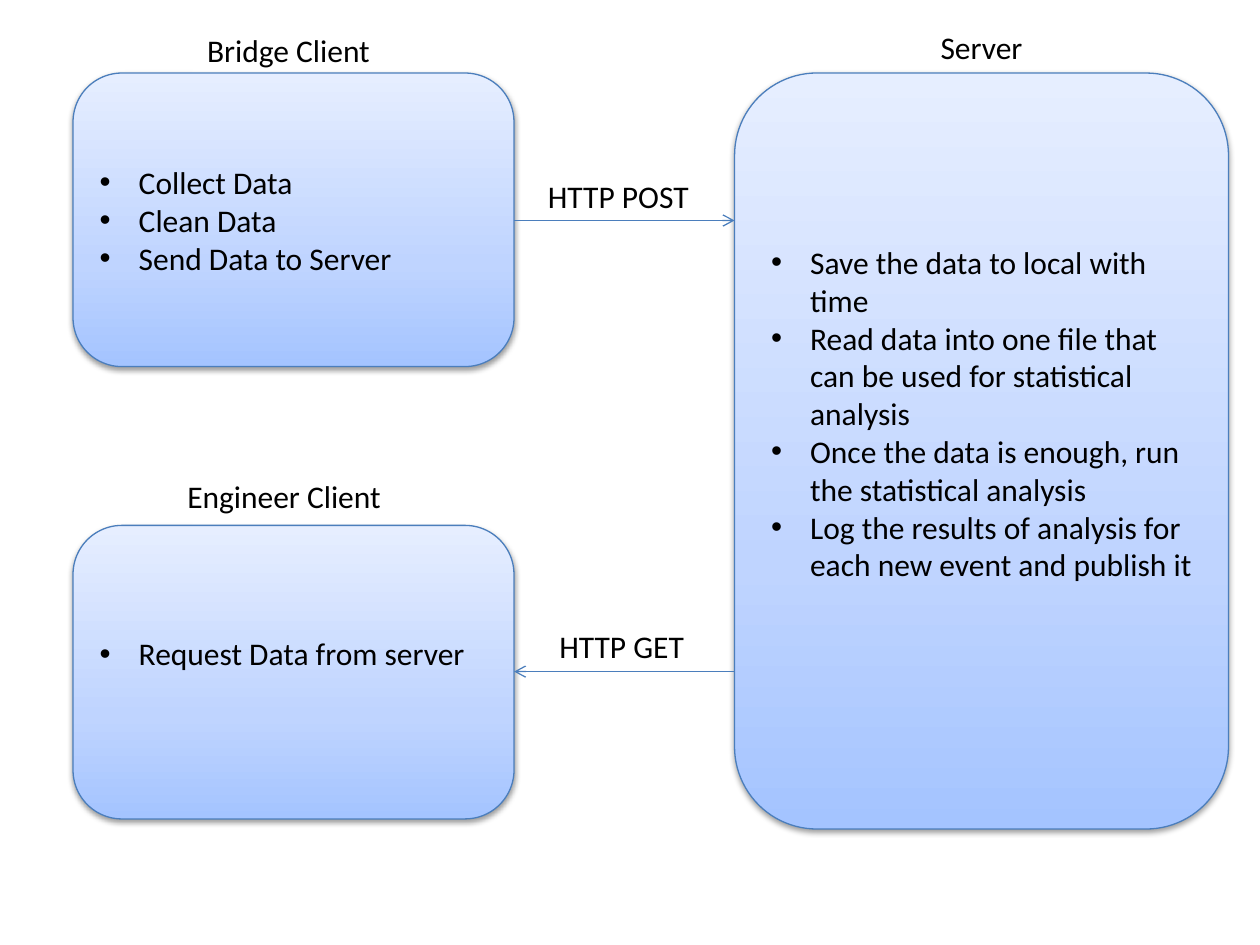
from lxml.etree import SubElement
from pptx import Presentation
from pptx.dml.color import RGBColor
from pptx.enum.shapes import MSO_CONNECTOR as CONN, MSO_SHAPE as SHAPE
from pptx.enum.text import MSO_ANCHOR as ANCHOR, MSO_AUTO_SIZE as AUTO, PP_ALIGN as ALIGN
from pptx.oxml.ns import qn
from pptx.util import Inches, Pt

FONT = "Calibri"
TEXT_COLOR = "000000"
LINE_COLOR = "4B7EBC"
BOX_STOPS = [(0, "A4C4FF"), (35, "BFD4FF"), (100, "E6EEFF")]
LINE_HEIGHT = 0.3
CLIENT_LEFT, CLIENT_W, CLIENT_H = 0.58, 3.5, 2.33
SERVER_LEFT = 5.83


def rgb(value):
    return RGBColor.from_string(value)


def add_xml(parent, tag, **attrs):
    return SubElement(parent, qn(tag), {k: str(v) for k, v in attrs.items()})


def format_paragraph(p, align=ALIGN.LEFT):
    p.alignment = align
    for r in p.runs:
        r.font.name = FONT
        r.font.size = Pt(18)
        r.font.color.rgb = rgb(TEXT_COLOR)


def set_bullet(p):
    pPr = p._p.get_or_add_pPr()
    pPr.set("marL", str(Inches(0.31)))
    pPr.set("indent", str(-Inches(0.31)))
    add_xml(pPr, "a:buFont", typeface="Arial")
    add_xml(pPr, "a:buChar", char="•")


def set_gradient(sp):
    sp.fill.gradient()
    sp.fill.gradient_angle = 90
    stops = sp._element.spPr.find(qn("a:gradFill")).find(qn("a:gsLst"))
    for stop in list(stops):
        stops.remove(stop)
    for position, color in BOX_STOPS:
        stop = add_xml(stops, "a:gs", pos=position * 1000)
        add_xml(stop, "a:srgbClr", val=color)


def set_shadow(sp):
    sp.shadow.inherit = False
    effects = sp._element.spPr.find(qn("a:effectLst"))
    shadow = add_xml(effects, "a:outerShdw", blurRad=Pt(3.1), dist=Pt(1.6),
                     dir=90 * 60000, rotWithShape=0)
    color = add_xml(shadow, "a:srgbClr", val=TEXT_COLOR)
    add_xml(color, "a:alpha", val=38000)


def set_line(line):
    line.color.rgb = rgb(LINE_COLOR)
    line.width = Pt(0.75)


def add_box(slide, left, top, width, height, items, lines_below):
    sp = slide.shapes.add_shape(SHAPE.ROUNDED_RECTANGLE, Inches(left), Inches(top),
                                Inches(width), Inches(height))
    set_gradient(sp)
    set_line(sp.line)
    set_shadow(sp)
    tf = sp.text_frame
    tf.word_wrap = True
    tf.vertical_anchor = ANCHOR.MIDDLE
    tf.margin_bottom = Inches(0.05 + lines_below * LINE_HEIGHT)
    tf.text = "\n".join(items)
    for p in tf.paragraphs:
        format_paragraph(p)
        set_bullet(p)


def add_label(slide, left, top, width, text, align=ALIGN.CENTER):
    sp = slide.shapes.add_textbox(Inches(left), Inches(top), Inches(width), Inches(0.4))
    tf = sp.text_frame
    tf.word_wrap = True
    tf.auto_size = AUTO.SHAPE_TO_FIT_TEXT
    tf.text = text
    format_paragraph(tf.paragraphs[0], align)


def add_arrow(slide, start, end, y):
    arrow = slide.shapes.add_connector(CONN.STRAIGHT, Inches(start), Inches(y),
                                       Inches(end), Inches(y))
    set_line(arrow.line)
    add_xml(arrow.line._get_or_add_ln(), "a:tailEnd", type="arrow")
    add_xml(arrow._element.spPr, "a:effectLst")


def main():
    prs = Presentation()
    prs.slide_width, prs.slide_height = Inches(10), Inches(7.5)
    slide = prs.slides.add_slide(prs.slide_layouts[6])

    add_box(slide, CLIENT_LEFT, 0.58, CLIENT_W, CLIENT_H,
            ["Collect Data", "Clean Data", "Send Data to Server"], 0)
    add_box(slide, CLIENT_LEFT, 4.17, CLIENT_W, CLIENT_H, ["Request Data from server"], 1)
    add_box(slide, SERVER_LEFT, 0.58, 3.92, 6, [
        "Save the data to local with time",
        "Read data into one file that can be used for statistical analysis",
        "Once the data is enough, run the statistical analysis",
        "Log the results of analysis for each new event and publish it",
    ], 2)

    client_right = CLIENT_LEFT + CLIENT_W
    add_arrow(slide, client_right, SERVER_LEFT, 1.75)
    add_label(slide, 4.25, 1.36, 1.58, "HTTP POST", ALIGN.LEFT)
    add_arrow(slide, SERVER_LEFT, client_right, 5.33)
    add_label(slide, 4.34, 4.93, 1.58, "HTTP GET", ALIGN.LEFT)

    add_label(slide, 1.5, 0.2, 1.58, "Bridge Client")
    add_label(slide, 1.17, 3.74, 2.17, "Engineer Client")
    add_label(slide, 7, 0.17, 1.58, "Server")

    prs.save("out.pptx")


main()
